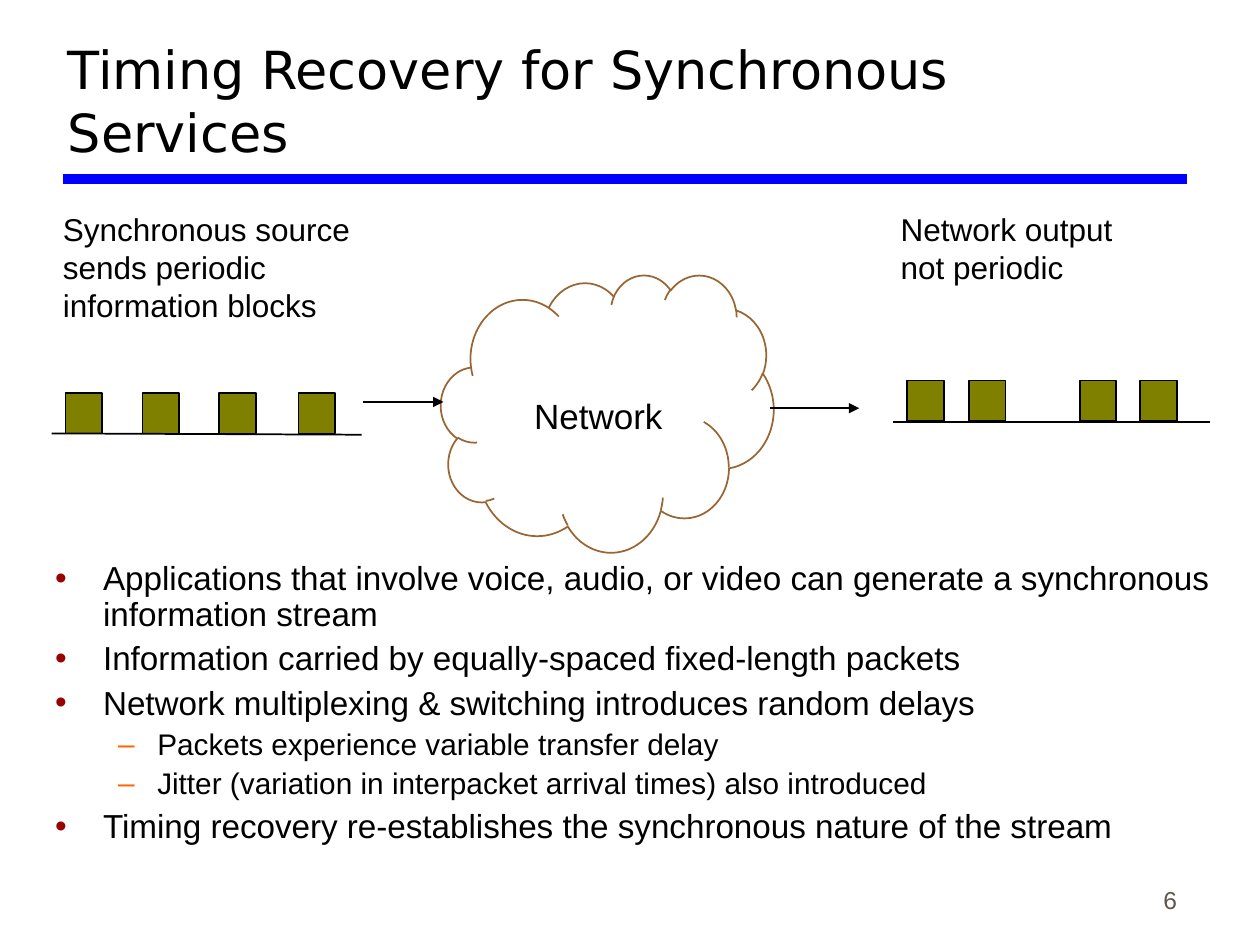
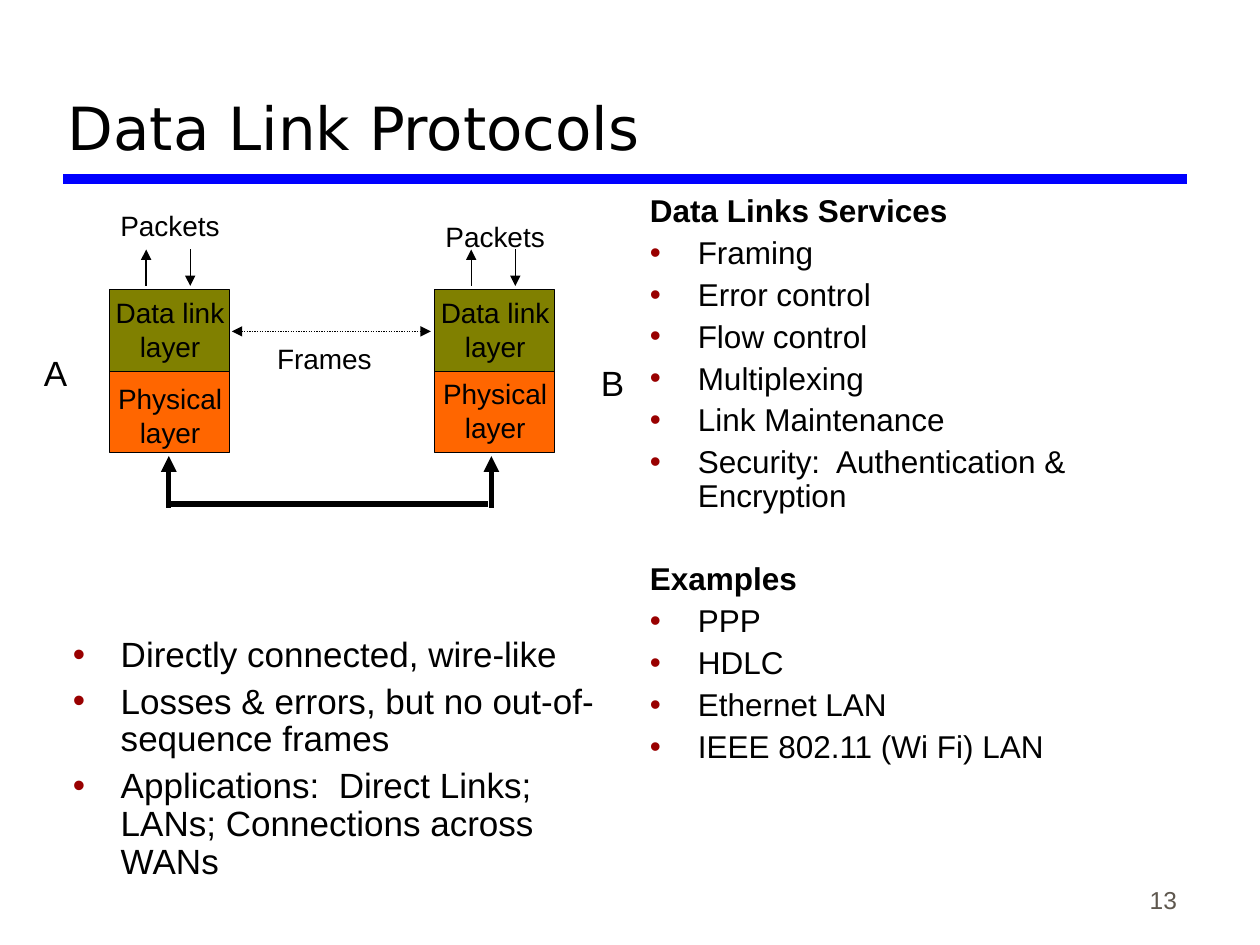
"""Build two slides on timing recovery and data link protocols."""
import dataclasses
import typing

import lxml.etree
import pptx
import pptx.dml.color
import pptx.enum.dml
import pptx.enum.shapes
import pptx.enum.text
import pptx.oxml.ns
import pptx.slide
import pptx.util

Inches = pptx.util.Inches
Pt = pptx.util.Pt
qn = pptx.oxml.ns.qn
Align = pptx.enum.text.PP_ALIGN
Anchor = pptx.enum.text.MSO_ANCHOR
Kind = pptx.enum.shapes.MSO_SHAPE
Slide = pptx.slide.Slide

HUES = {
    "black": "000000", "white": "FFFFFF", "blue": "0000FF", "gray": "5E574E",
    "olive": "808000", "orange": "FF6600", "brown": "996633", "red": "990000",
}
LEVELS = (
    {"mark": "•", "hue": "red", "left": 0.38, "hang": 0.38},
    {"mark": "–", "hue": "orange", "left": 0.81, "hang": 0.31},
)


@dataclasses.dataclass
class Box:
    left: float
    top: float
    width: float
    height: float
    fill: str
    edge: str = "black"
    weight: float = 1
    kind: Kind = Kind.RECTANGLE


@dataclasses.dataclass
class Line:
    start: tuple[float, float]
    end: tuple[float, float]
    weight: float = 1
    hue: str = "black"
    head: bool = False
    tail: bool = False
    dots: bool = False


@dataclasses.dataclass
class Note:
    text: str
    left: float
    top: float
    width: float
    height: float
    size: float = 16
    face: str = "Arial"
    hue: str = "black"
    frame: dict = dataclasses.field(default_factory=dict)
    para: dict = dataclasses.field(default_factory=dict)


@dataclasses.dataclass
class Point:
    text: str
    size: float
    space: float
    level: int = 0
    bold: bool = False


@dataclasses.dataclass
class Node:
    left: float
    packet_top: float
    phys_top: float
    rise: float


TIGHT = {"word_wrap": False}
MID = {"alignment": Align.CENTER}


def color(hue: str) -> pptx.dml.color.RGBColor:
    return pptx.dml.color.RGBColor.from_string(HUES[hue])


def format_item(item: typing.Any, values: dict) -> None:
    for name, value in values.items():
        setattr(item, name, value)


def place(*sides: float) -> list[int]:
    return [Inches(side) for side in sides]


def write(para: typing.Any, text: str, size: float, face: str, hue: str,
          bold: bool = False) -> None:
    run = para.add_run()
    run.text = text
    format_item(run.font, {"size": Pt(size), "name": face, "bold": bold})
    run.font.color.rgb = color(hue)


def draw_box(slide: Slide, box: Box) -> None:
    shape = slide.shapes.add_shape(
        box.kind, *place(box.left, box.top, box.width, box.height))
    shape.shadow.inherit = False
    shape.fill.solid()
    shape.fill.fore_color.rgb = color(box.fill)
    shape.line.color.rgb = color(box.edge)
    shape.line.width = Pt(box.weight)


def draw_line(slide: Slide, line: Line) -> None:
    link = slide.shapes.add_connector(
        pptx.enum.shapes.MSO_CONNECTOR.STRAIGHT, *place(*line.start, *line.end))
    link.line.color.rgb = color(line.hue)
    link.line.width = Pt(line.weight)
    if line.dots:
        link.line.dash_style = pptx.enum.dml.MSO_LINE.ROUND_DOT
    props = link._element.spPr
    for tag, shown in (("a:headEnd", line.head), ("a:tailEnd", line.tail)):
        if shown:
            lxml.etree.SubElement(props.find(qn("a:ln")), qn(tag), type="triangle")
    lxml.etree.SubElement(props, qn("a:effectLst"))


def draw_note(slide: Slide, note: Note) -> None:
    frame = slide.shapes.add_textbox(
        *place(note.left, note.top, note.width, note.height)).text_frame
    format_item(frame, {"word_wrap": True, **note.frame})
    for index, text in enumerate(note.text.split("\n")):
        para = frame.add_paragraph() if index else frame.paragraphs[0]
        format_item(para, note.para)
        write(para, text, note.size, note.face, note.hue)


def add_mark(para: typing.Any, level: dict, shown: bool) -> None:
    props = para._p.get_or_add_pPr()
    props.set("marL", str(Inches(level["left"])))
    props.set("indent", str(-Inches(level["hang"])))
    if shown:
        tint = lxml.etree.SubElement(props, qn("a:buClr"))
        lxml.etree.SubElement(tint, qn("a:srgbClr"), val=HUES[level["hue"]])
        lxml.etree.SubElement(props, qn("a:buFont"), typeface="Arial")
        lxml.etree.SubElement(props, qn("a:buChar"), char=level["mark"])
    else:
        lxml.etree.SubElement(props, qn("a:buNone"))


def draw_list(slide: Slide, area: tuple, points: list[Point]) -> None:
    frame = slide.shapes.add_textbox(*place(*area)).text_frame
    frame.word_wrap = True
    for index, point in enumerate(points):
        para = frame.add_paragraph() if index else frame.paragraphs[0]
        add_mark(para, LEVELS[point.level], not point.bold)
        space = Pt(point.space if index else 0)
        format_item(para, {"line_spacing": 0.9, "space_before": space,
                           "level": point.level})
        write(para, point.text, point.size, "Arial", "black", point.bold)


def start_slide(deck: typing.Any, title: str, size: float, number: int) -> Slide:
    slide = deck.slides.add_slide(deck.slide_layouts[6])
    low = {"vertical_anchor": Anchor.BOTTOM}
    draw_line(slide, Line((0.5, 1.42), (9.42, 1.42), 6, "blue"))
    draw_note(slide, Note(title, 0.44, 0.17, 8.97, 1.17, size, "DejaVu Sans",
                          frame=low))
    draw_note(slide, Note(str(number), 7.36, 6.81, 2.08, 0.5, 14, hue="gray",
                          frame=low, para={"alignment": Align.RIGHT}))
    return slide


def build_timing(deck: typing.Any) -> None:
    slide = start_slide(deck, "Timing Recovery for Synchronous Services", 30, 6)
    draw_box(slide, Box(3.5, 2.18, 2.64, 2.2, "white", "brown", kind=Kind.CLOUD))
    for top, lefts in ((3.12, (0.52, 1.13, 1.74, 2.37)),
                       (3.02, (7.2, 7.69, 8.57, 9.05))):
        for left in lefts:
            draw_box(slide, Box(left, top, 0.29, 0.32, "olive"))
    for line in (
        Line((0.41, 3.44), (2.87, 3.45)),
        Line((7.09, 3.35), (9.6, 3.35)),
        Line((2.88, 3.19), (3.52, 3.19), tail=True),
        Line((6.11, 3.24), (6.82, 3.24), tail=True),
    ):
        draw_line(slide, line)
    for note in (
        Note("Network", 4.14, 3.08, 1.45, 0.43, 20),
        Note("Synchronous source sends periodic information blocks",
             0.4, 1.62, 2.72, 1, 18),
        Note("Network output not periodic", 7.05, 1.62, 2.2, 0.7, 18),
    ):
        draw_note(slide, note)
    points = (
        (0, "Applications that involve voice, audio, or video can generate "
            "a synchronous information stream"),
        (0, "Information carried by equally-spaced fixed-length packets"),
        (0, "Network multiplexing & switching introduces random delays"),
        (1, "Packets experience variable transfer delay"),
        (1, "Jitter (variation in interpacket arrival times) also introduced"),
        (0, "Timing recovery re-establishes the synchronous nature of the stream"),
    )
    sizes = ((19, 4.8), (17, 4.2))
    draw_list(slide, (0.34, 4.41, 9.44, 2.65),
              [Point(text, *sizes[level], level) for level, text in points])


def draw_node(slide: Slide, node: Node) -> None:
    left, top = node.left, node.packet_top
    draw_box(slide, Box(left, 2.3, 0.95, 0.65, "olive", weight=0.75))
    draw_box(slide, Box(left, 2.95, 0.95, 0.64, "orange", weight=0.75))
    for text, high, height in (
        ("Packets", top, 0.37),
        ("Data link\nlayer", 2.3, 0.64),
        ("Physical\nlayer", node.phys_top, 0.64),
    ):
        draw_note(slide, Note(text, left - 0.12, high, 1.2, height,
                              frame=TIGHT, para=MID))
    up, down, rise = left + 0.29, left + 0.64, left + node.rise
    draw_line(slide, Line((up, 1.98), (up, 2.27), 0.75, head=True))
    draw_line(slide, Line((down, 1.98), (down, 2.27), 0.75, tail=True))
    draw_line(slide, Line((rise, 3.62), (rise, 4.03), 3, head=True))


def build_links(deck: typing.Any) -> None:
    slide = start_slide(deck, "Data Link Protocols", 34, 13)
    for node in (Node(0.87, 1.61, 2.98, 0.47), Node(3.45, 1.69, 2.94, 0.45)):
        draw_node(slide, node)
    draw_line(slide, Line((1.32, 4), (3.87, 4), 3))
    draw_line(slide, Line((1.84, 2.63), (3.42, 2.63), 0.75,
                          head=True, tail=True, dots=True))
    for note in (
        Note("A", 0.25, 2.74, 0.38, 0.44, 20, frame=TIGHT),
        Note("B", 4.67, 2.82, 0.38, 0.44, 20, frame=TIGHT),
        Note("Frames", 2.1, 2.66, 0.95, 0.37, frame=TIGHT),
    ):
        draw_note(slide, note)
    traits = (
        "Directly connected, wire-like",
        "Losses & errors, but no out-of-sequence frames",
        "Applications:  Direct Links; LANs; Connections across WANs",
    )
    draw_list(slide, (0.48, 5.01, 4.42, 2.07),
              [Point(text, 20, 5) for text in traits])
    groups = {
        "Data Links Services": (
            "Framing", "Error control", "Flow control", "Multiplexing",
            "Link Maintenance", "Security:  Authentication & Encryption"),
        "Examples": ("PPP", "HDLC", "Ethernet LAN", "IEEE 802.11 (Wi Fi) LAN"),
    }
    points = []
    for head, texts in groups.items():
        points.append(Point(head, 18, 28, bold=True))
        points += [Point(text, 18, 4.5) for text in texts]
    draw_list(slide, (5.06, 1.5, 4.39, 5.13), points)


def main() -> None:
    deck = pptx.Presentation()
    format_item(deck, {"slide_width": Inches(10), "slide_height": Inches(7.5)})
    build_timing(deck)
    build_links(deck)
    deck.save("out.pptx")


if __name__ == "__main__":
    main()
